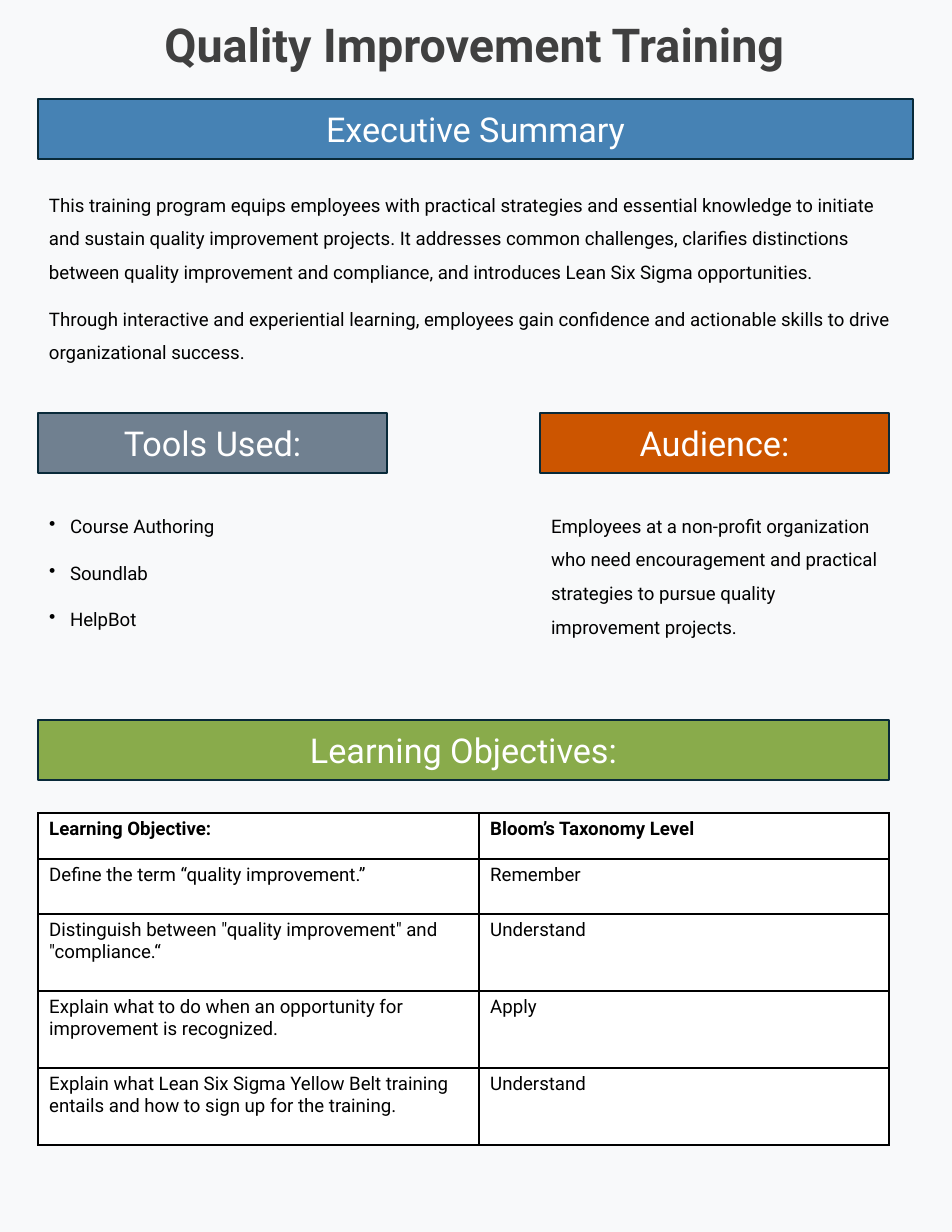
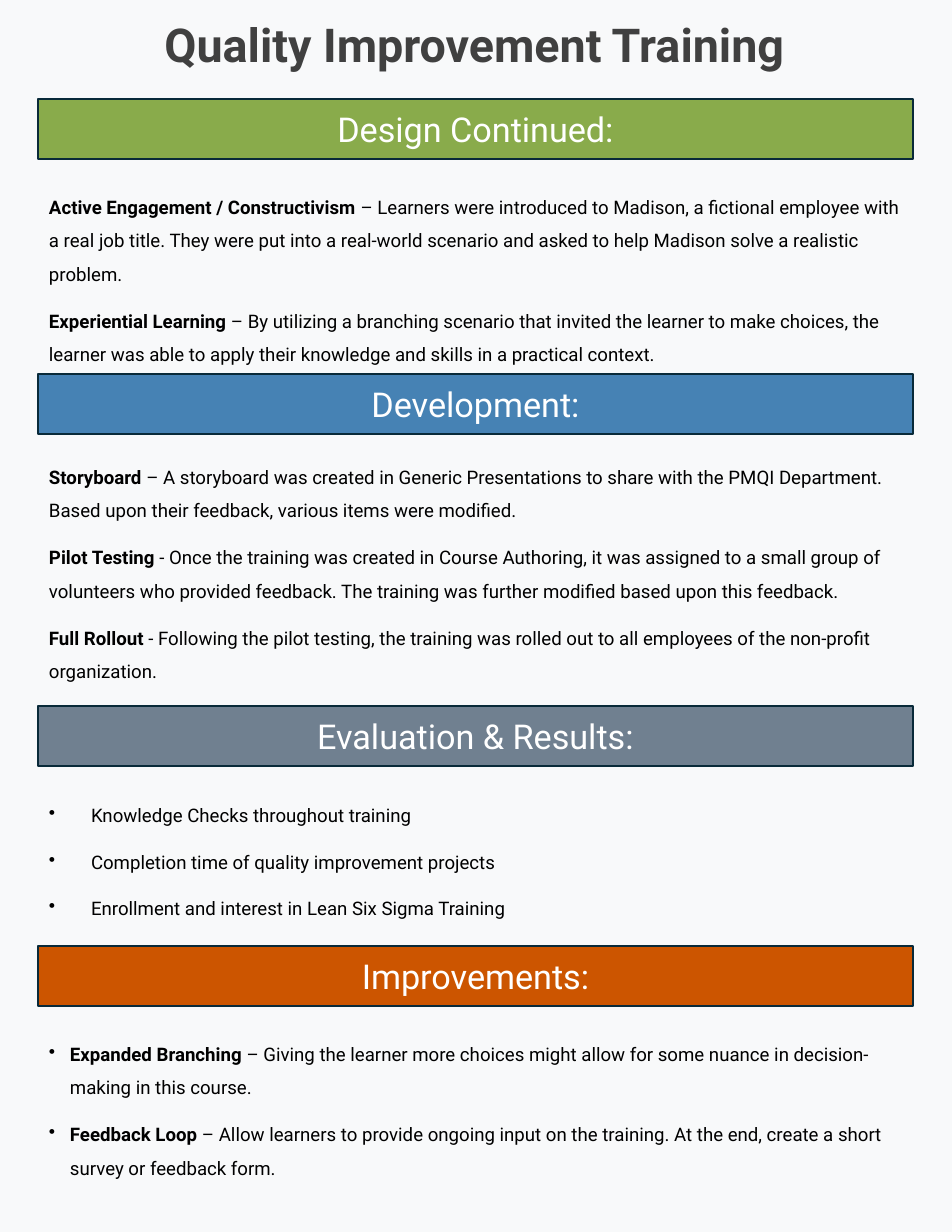
from dataclasses import dataclass

from lxml import etree
from pptx import Presentation
from pptx.dml.color import RGBColor
from pptx.enum.shapes import MSO_SHAPE
from pptx.enum.text import MSO_ANCHOR, MSO_AUTO_SIZE, PP_ALIGN
from pptx.oxml.ns import qn
from pptx.util import Emu, Pt

RECTANGLE = MSO_SHAPE.RECTANGLE
BOTTOM, MIDDLE = MSO_ANCHOR.BOTTOM, MSO_ANCHOR.MIDDLE
CENTER = PP_ALIGN.CENTER
NO_AUTOFIT = MSO_AUTO_SIZE.NONE
TITLE_ONLY = 5

EMU_PER_PX = 914400 / 112
LEFT, FULL_WIDTH = 38, 875
HALF_LEFT, HALF_WIDTH = 540, 349
OBJECTIVES_WIDTH = 851
BAND_HEIGHT = 60
TIGHT_INDENT, WIDE_INDENT = 21, 42


@dataclass(frozen=True)
class Theme:
    """Hold the colours, font and type sizes of the handout."""

    page: str = "F8F9FA"
    title: str = "404040"
    ink: str = "000000"
    white: str = "FFFFFF"
    outline: str = "092A39"
    blue: str = "4682B4"
    slate: str = "708090"
    orange: str = "CC5500"
    green: str = "89AB4B"
    font: str = "Roboto"
    title_size: int = 30
    band_size: int = 22
    body_size: int = 12


THEME = Theme()

SUMMARY = [
    ("", "This training program equips employees with practical strategies and "
         "essential knowledge to initiate and sustain quality improvement projects. "
         "It addresses common challenges, clarifies distinctions between quality "
         "improvement and compliance, and introduces Lean Six Sigma opportunities."),
    ("", "Through interactive and experiential learning, employees gain confidence "
         "and actionable skills to drive organizational success."),
]
TOOLS = [("", "Course Authoring"), ("", "Soundlab"), ("", "HelpBot")]
AUDIENCE = [
    ("", "Employees at a non-profit organization who need encouragement and "
         "practical strategies to pursue quality improvement projects."),
]
OBJECTIVE_ROWS = [
    (46, "Learning Objective:", "Bloom’s Taxonomy Level"),
    (55, "Define the term “quality improvement.”", "Remember"),
    (77, 'Distinguish between "quality improvement" and "compliance.“', "Understand"),
    (77, "Explain what to do when an opportunity for improvement is recognized.",
     "Apply"),
    (77, "Explain what Lean Six Sigma Yellow Belt training entails and how to sign "
         "up for the training.", "Understand"),
]
DESIGN = [
    ("Active Engagement / Constructivism ",
     "– Learners were introduced to Madison, a fictional employee with a real job "
     "title. They were put into a real-world scenario and asked to help Madison "
     "solve a realistic problem."),
    ("Experiential Learning ",
     "– By utilizing a branching scenario that invited the learner to make choices, "
     "the learner was able to apply their knowledge and skills in a practical "
     "context."),
]
DEVELOPMENT = [
    ("Storyboard",
     " – A storyboard was created in Generic Presentations to share with the PMQI "
     "Department. Based upon their feedback, various items were modified."),
    ("Pilot Testing ",
     "- Once the training was created in Course Authoring, it was assigned to a small "
     "group of volunteers who provided feedback. The training was further modified "
     "based upon this feedback."),
    ("Full Rollout ",
     "- Following the pilot testing, the training was rolled out to all employees of "
     "the non-profit organization."),
]
RESULTS = [
    ("", "Knowledge Checks throughout training"),
    ("", "Completion time of quality improvement projects"),
    ("", "Enrollment and interest in Lean Six Sigma Training"),
]
IMPROVEMENTS = [
    ("Expanded Branching ",
     "– Giving the learner more choices might allow for some nuance in "
     "decision-making in this course."),
    ("Feedback Loop ",
     "– Allow learners to provide ongoing input on the training. At the end, create "
     "a short survey or feedback form."),
]


def px(length):
    """Turn whole pixels into EMU."""
    return Emu(round(length * EMU_PER_PX))


def color(value):
    """Turn a hex string into a colour."""
    return RGBColor.from_string(value)


def style_font(paragraph, size, ink, bold=False):
    """Give a paragraph the theme font in one size, colour and weight."""
    font = paragraph.font
    font.name = THEME.font
    font.size = Pt(size)
    font.bold = bold
    font.color.rgb = color(ink)


def add_bullet(paragraph, indent):
    """Hang a round bullet in front of a paragraph."""
    properties = paragraph._p.get_or_add_pPr()
    properties.set("marL", str(px(indent)))
    properties.set("indent", str(-px(indent)))
    etree.SubElement(properties, qn("a:buChar"), char="•")


def add_page(prs):
    """Add a slide headed by the shared training title."""
    page = prs.slides.add_slide(prs.slide_layouts[TITLE_ONLY])
    title = page.shapes.title
    title.left, title.top, title.width, title.height = map(px, (20, 20, 909, 58))
    frame = title.text_frame
    frame.text = "Quality Improvement Training"
    frame.auto_size = NO_AUTOFIT
    frame.vertical_anchor = BOTTOM
    heading = frame.paragraphs[0]
    heading.alignment = CENTER
    heading.line_spacing = 0.9
    style_font(heading, THEME.title_size, THEME.title, bold=True)
    return page


def add_band(page, label, fill, top, left=LEFT, width=FULL_WIDTH):
    """Add an outlined section band with a centred label."""
    band = page.shapes.add_shape(
        RECTANGLE, px(left), px(top), px(width), px(BAND_HEIGHT))
    band.shadow.inherit = False
    band.fill.solid()
    band.fill.fore_color.rgb = color(fill)
    band.line.color.rgb = color(THEME.outline)
    band.line.width = Pt(1.5)
    band.text_frame.text = label
    band.text_frame.vertical_anchor = MIDDLE
    heading = band.text_frame.paragraphs[0]
    heading.alignment = CENTER
    style_font(heading, THEME.band_size, THEME.white)


def add_body(page, passages, top, height, left=LEFT, width=FULL_WIDTH, indent=0):
    """Add passages, each an optional bold lead and its text, bulleted if indented."""
    body = page.shapes.add_textbox(px(left), px(top), px(width), px(height))
    frame = body.text_frame
    frame.word_wrap = True
    for index, (lead, text) in enumerate(passages):
        paragraph = frame.add_paragraph() if index else frame.paragraphs[0]
        paragraph.line_spacing = 1.5
        paragraph.space_before = Pt(8.5)
        if indent:
            add_bullet(paragraph, indent)
        style_font(paragraph, THEME.body_size, THEME.ink)
        if lead:
            lead_run = paragraph.add_run()
            lead_run.text = lead
            lead_run.font.bold = True
        paragraph.add_run().text = text


def add_borders(cell):
    """Draw a thin line on all four sides of a cell."""
    properties = cell._tc.get_or_add_tcPr()
    for side in ("a:lnL", "a:lnR", "a:lnT", "a:lnB"):
        line = etree.SubElement(properties, qn(side), w=str(Pt(1)))
        fill = etree.SubElement(line, qn("a:solidFill"))
        etree.SubElement(fill, qn("a:srgbClr"), val=THEME.ink)


def add_objectives(page, top):
    """Add the table of learning objectives and their levels."""
    column_widths = (441, 410)
    height = sum(row[0] for row in OBJECTIVE_ROWS)
    objectives = page.shapes.add_table(
        len(OBJECTIVE_ROWS), len(column_widths),
        px(LEFT), px(top), px(OBJECTIVES_WIDTH), px(height)).table
    for column, width in zip(objectives.columns, column_widths):
        column.width = px(width)
    for index, (row_height, *texts) in enumerate(OBJECTIVE_ROWS):
        row = objectives.rows[index]
        row.height = px(row_height)
        for cell, text in zip(row.cells, texts):
            cell.text = text
            add_borders(cell)
            cell.fill.solid()
            cell.fill.fore_color.rgb = color(THEME.white)
            style_font(cell.text_frame.paragraphs[0], THEME.body_size, THEME.ink,
                       bold=index == 0)


def build_overview(prs):
    """Build the page with summary, tools, audience and objectives."""
    page = add_page(prs)
    add_band(page, "Executive Summary", THEME.blue, 99)
    add_body(page, SUMMARY, 177, 204)
    add_band(page, "Tools Used:", THEME.slate, 413, width=HALF_WIDTH)
    add_body(page, TOOLS, 498, 153, width=HALF_WIDTH, indent=TIGHT_INDENT)
    add_band(page, "Audience:", THEME.orange, 413, HALF_LEFT, HALF_WIDTH)
    add_body(page, AUDIENCE, 498, 153, HALF_LEFT, HALF_WIDTH)
    add_band(page, "Learning Objectives:", THEME.green, 720, width=OBJECTIVES_WIDTH)
    add_objectives(page, 813)


def build_process(prs):
    """Build the page with design, development, results and improvements."""
    page = add_page(prs)
    add_band(page, "Design Continued:", THEME.green, 99)
    add_body(page, DESIGN, 179, 180)
    add_band(page, "Development:", THEME.blue, 374)
    add_body(page, DEVELOPMENT, 449, 250)
    add_band(page, "Evaluation & Results:", THEME.slate, 706)
    add_body(page, RESULTS, 787, 159, indent=WIDE_INDENT)
    add_band(page, "Improvements:", THEME.orange, 946)
    add_body(page, IMPROVEMENTS, 1026, 159, indent=TIGHT_INDENT)


def main():
    """Build and save the two-page training handout."""
    prs = Presentation()
    prs.slide_width, prs.slide_height = px(952), px(1232)
    backdrop = prs.slide_master.background.fill
    backdrop.solid()
    backdrop.fore_color.rgb = color(THEME.page)
    build_overview(prs)
    build_process(prs)
    prs.save("out.pptx")


if __name__ == "__main__":
    main()
